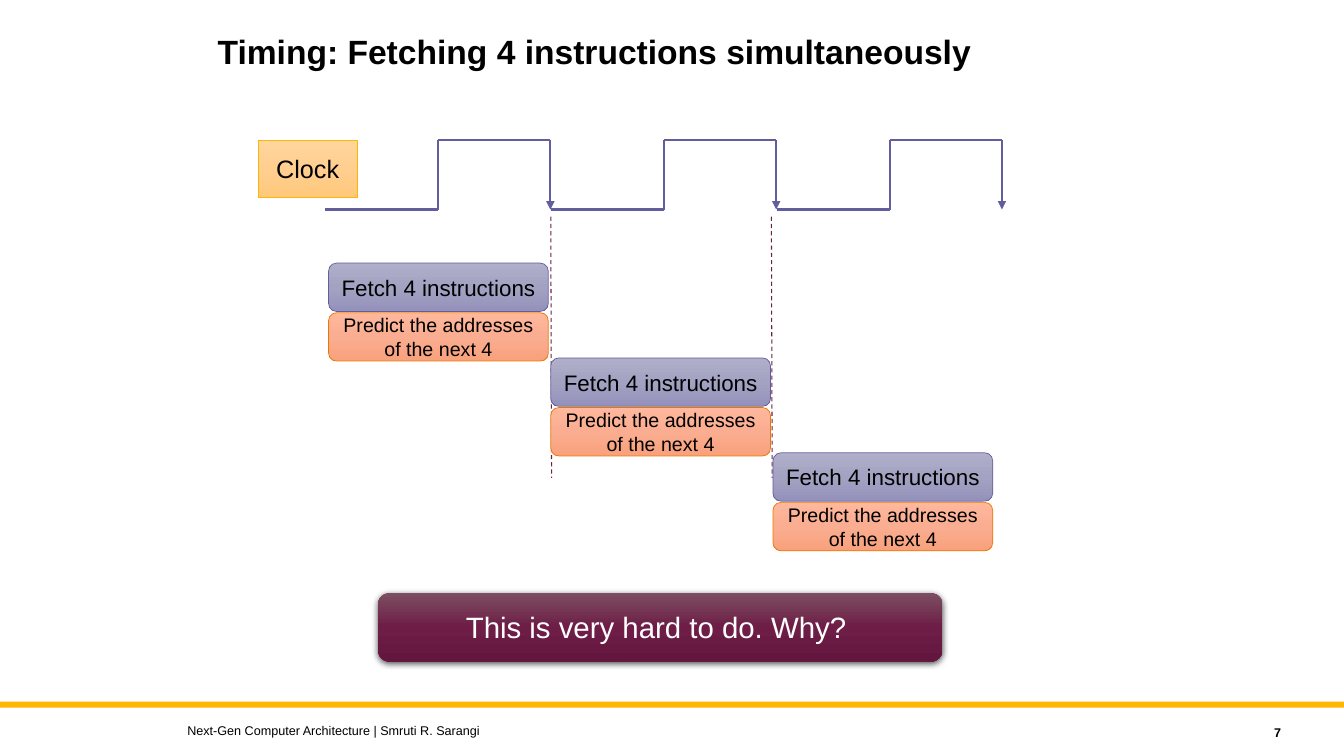
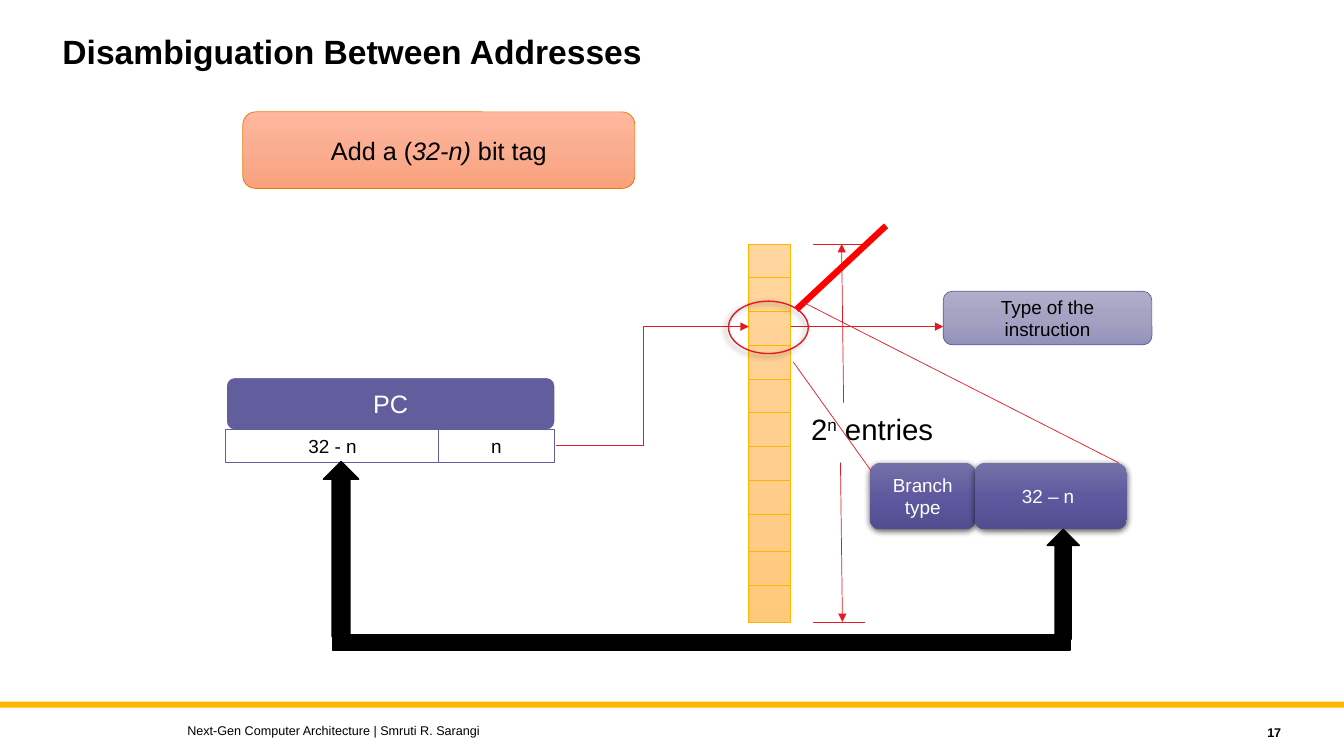
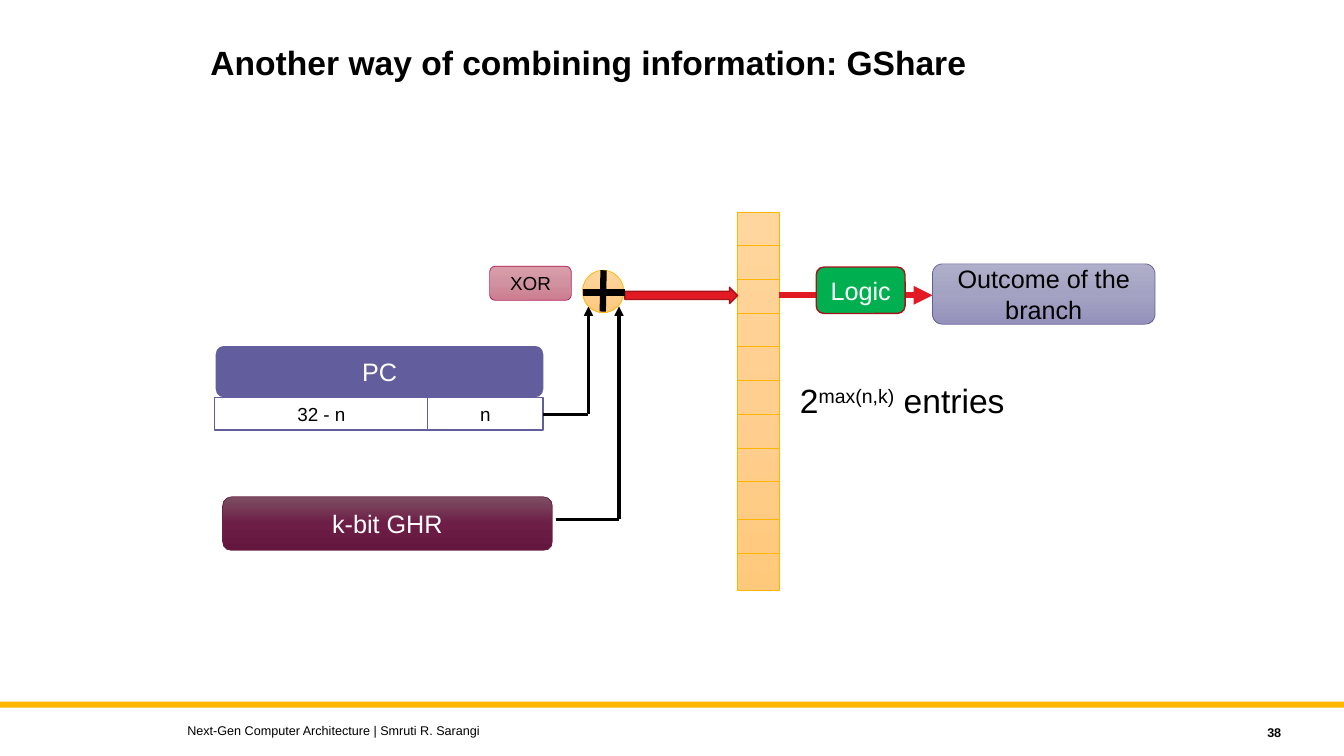
import copy

import lxml.etree
import pptx
import pptx.dml.color
import pptx.enum.dml
import pptx.enum.shapes
import pptx.enum.text
import pptx.oxml.ns
import pptx.util

Cm = pptx.util.Cm
Pt = pptx.util.Pt
qn = pptx.oxml.ns.qn
SHAPE = pptx.enum.shapes.MSO_SHAPE
ALIGN = pptx.enum.text.PP_ALIGN
ANCHOR = pptx.enum.text.MSO_ANCHOR
rgb = pptx.dml.color.RGBColor.from_string

# Colours
BLACK = rgb("000000")
WHITE = rgb("FFFFFF")
GOLD = rgb("FFB600")
VIOLET = rgb("625D9C")
ORANGE = rgb("EC7700")
PLUM = rgb("692146")
ROSE = rgb("AF1858")
RED = rgb("E21A23")
DARK_RED = rgb("A7131A")
BRIGHT_RED = rgb("FF0000")
GREEN = rgb("00B050")

# Vertical gradients: top, middle, bottom
GOLD_FADE = (rgb("FFD69E"), rgb("FFCF90"), rgb("FFC97C"))
LILAC_FADE = (rgb("B0AFCA"), rgb("A4A2C2"), rgb("9492BB"))
PEACH_FADE = (rgb("FFB89D"), rgb("FAAD90"), rgb("F9A17C"))
PLUM_FADE = (rgb("7C4F62"), rgb("6D1D46"), rgb("64173E"))
VIOLET_FADE = (rgb("7571A8"), rgb("5F5A9F"), rgb("524D90"))
ROSE_FADE = (rgb("DA9EAB"), rgb("D091A0"), rgb("CD7C8F"))

# Shadows: opacity in percent, blur and distance in points, direction in degrees
RAISED = (63, 4.5, 1.5, 90)
SOFT = (40, 4, 3, 135)


def add_box(page, kind, at, text="", fill=None, edge=None, edge_width=0.5, shadow=None,
            size=13.5, color=BLACK, bold=False, align=ALIGN.CENTER,
            anchor=ANCHOR.MIDDLE, spacing=None):
    """Kind is a preset shape, "text" for a text box or "title" for the placeholder.
    Text is a string or a list of (string, style), style being "", "italic" or "super"."""
    at = [Cm(length) for length in at]
    if kind == "title":
        box = page.shapes.title
        box.left, box.top, box.width, box.height = at
    elif kind == "text":
        box = page.shapes.add_textbox(*at)
    else:
        box = page.shapes.add_shape(kind, *at)
        box.shadow.inherit = False
        if fill is None:
            box.fill.background()
        elif fill in (GOLD_FADE, LILAC_FADE, PEACH_FADE, PLUM_FADE, VIOLET_FADE, ROSE_FADE):
            box.fill.gradient()
            box.fill.gradient_angle = 270
            stop_list = box.element.spPr.find(".//" + qn("a:gsLst"))
            stop_list.insert(1, copy.deepcopy(stop_list[0]))
            for stop, shade, position in zip(box.fill.gradient_stops, fill, (0, 0.5, 1)):
                stop.color.rgb = shade
                stop.position = position
        else:
            box.fill.solid()
            box.fill.fore_color.rgb = fill
        if edge is None:
            box.line.fill.background()
        else:
            box.line.color.rgb = edge
            box.line.width = Pt(edge_width)
        if shadow:
            opacity, blur, distance, angle = shadow
            effects = box.element.spPr.find(qn("a:effectLst"))
            outer = lxml.etree.SubElement(
                effects, qn("a:outerShdw"), blurRad=str(Pt(blur)), dist=str(Pt(distance)),
                dir=str(angle * 60000), rotWithShape="0")
            shade = lxml.etree.SubElement(outer, qn("a:srgbClr"), val=str(BLACK))
            lxml.etree.SubElement(shade, qn("a:alpha"), val=str(opacity * 1000))

    if text:
        frame = box.text_frame
        frame.word_wrap = True
        frame.auto_size = pptx.enum.text.MSO_AUTO_SIZE.NONE
        frame.vertical_anchor = anchor
        para = frame.paragraphs[0]
        para.alignment = align
        para.line_spacing = spacing
        for words, style in [(text, "")] if isinstance(text, str) else text:
            span = para.add_run()
            span.text = words
            span.font.name = "Arial"
            span.font.size = Pt(size)
            span.font.bold = bold
            span.font.color.rgb = color
            if style == "italic":
                span.font.italic = True
            elif style == "super":
                span._r.get_or_add_rPr().set("baseline", "30000")
    return box


def add_line(page, start, end, color=RED, width=0.5, arrow=False, dashed=False):
    line = page.shapes.add_connector(
        pptx.enum.shapes.MSO_CONNECTOR.STRAIGHT, *[Cm(length) for length in (*start, *end)])
    line.line.color.rgb = color
    line.line.width = Pt(width)
    if dashed:
        line.line.dash_style = pptx.enum.dml.MSO_LINE.DASH
    properties = line.element.spPr
    if arrow:
        lxml.etree.SubElement(properties.find(qn("a:ln")), qn("a:tailEnd"), type="triangle")
    lxml.etree.SubElement(properties, qn("a:effectLst"))


# Deck and layout
deck = pptx.Presentation()
deck.slide_width, deck.slide_height = Cm(33.87), Cm(19.05)
layout = deck.slide_layouts.get_by_name("Title Only")
for holder in list(layout.placeholders):
    if holder.placeholder_format.idx != 0:
        holder.element.getparent().remove(holder.element)

# Pages with title, footer and page number
pages = []
for title, title_at, number in [
    ("Timing: Fetching 4 instructions simultaneously", (5.23, 0.76, 20.47, 2.29), "7"),
    ("Disambiguation Between Addresses", (1.32, 0.76, 25.4, 2.29), "17"),
    ("Another way of combining information: GShare", (5.05, 1.04, 21.89, 2.77), "38"),
]:
    page = deck.slides.add_slide(layout)
    pages.append(page)
    add_box(page, "title", title_at, title, size=24, bold=True, align=ALIGN.LEFT,
            anchor=ANCHOR.TOP, spacing=0.9)
    add_box(page, "text", (4.47, 18.08, 20.32, 0.64),
            "Next-Gen Computer Architecture | Smruti R. Sarangi", size=9, align=ALIGN.LEFT)
    add_box(page, "text", (28.98, 18.14, 3.56, 0.64), number, size=9, bold=True,
            align=ALIGN.RIGHT)
timing, tagging, gshare = pages

# Gold band, moved to the layout so that every page shows it
band = add_box(timing, SHAPE.RECTANGLE, (0, 17.68, 33.87, 0.15), fill=GOLD)
layout.shapes.element.append(band.element)

# Timing: clock signal
high, low = 3.53, 5.28
for cycle in range(3):
    start = 8.2 + 5.69 * cycle
    rise, fall = start + 2.84, start + 5.67
    add_line(timing, (start, low), (rise, low), VIOLET, 1.5)
    add_line(timing, (rise, low), (rise, high), VIOLET, 1.5)
    add_line(timing, (rise, high), (fall, high), VIOLET, 1.5)
    add_line(timing, (fall, high), (fall, low), VIOLET, 1.5, arrow=True)
add_box(timing, SHAPE.RECTANGLE, (6.5, 3.53, 2.51, 1.45), "Clock", GOLD_FADE, GOLD, size=18)

# Timing: cycle borders and the staircase of fetches
for x in (13.88, 19.44):
    add_line(timing, (x, 5.46), (x + 0.02, 12.04), PLUM, 0.75, dashed=True)
for step in range(3):
    left, top = 8.28 + 5.6 * step, 6.63 + 2.39 * step
    add_box(timing, SHAPE.ROUNDED_RECTANGLE, (left, top, 5.54, 1.22),
            "Fetch 4 instructions", LILAC_FADE, VIOLET, size=16)
    add_box(timing, SHAPE.ROUNDED_RECTANGLE, (left, top + 1.25, 5.54, 1.22),
            "Predict the addresses of the next 4", PEACH_FADE, ORANGE, size=14)
add_box(timing, SHAPE.ROUNDED_RECTANGLE, (9.53, 14.94, 14.22, 1.73),
        "This is very hard to do. Why? ", PLUM_FADE, shadow=RAISED, size=21, color=WHITE)

# Program counter and prediction table on both predictor pages
for page, left, top in [(tagging, 5.69, 9.5), (gshare, 5.41, 8.69)]:
    add_box(page, SHAPE.ROUNDED_RECTANGLE, (left, top, 8.31, 1.35), "PC", VIOLET, WHITE, 1.5,
            size=18, color=WHITE)
    for offset, width, field in [(0, 5.38, "32 - n"), (5.36, 2.92, "n")]:
        add_box(page, SHAPE.RECTANGLE, (left + offset, top + 1.33, width, 0.82), field,
                WHITE, VIOLET, 1)
    table_left, table_top = left + 13.18, top - 3.35
    add_box(page, SHAPE.RECTANGLE, (table_left, table_top, 1.04, 9.53), fill=GOLD_FADE,
            edge=GOLD)
    for row in range(1, 11):
        y = table_top + 0.85 * row + (0.1 if row > 8 else 0)
        add_line(page, (table_left, y), (table_left + 1.07, y), GOLD)

# Tagging: lookup path
add_line(tagging, (14, 11.23), (16.21, 11.23))
add_line(tagging, (16.21, 11.23), (16.21, 8.23))
add_line(tagging, (16.21, 8.23), (18.87, 8.23), arrow=True)
add_line(tagging, (19.94, 8.23), (23.77, 8.23), arrow=True)
add_box(tagging, SHAPE.ROUNDED_RECTANGLE, (23.77, 7.34, 5.26, 1.35),
        "Type of the instruction", LILAC_FADE, VIOLET)

# Tagging: table height
for y in (6.15, 15.67):
    add_line(tagging, (20.5, y), (21.79, y))
add_line(tagging, (21.26, 10.16), (21.21, 6.15), arrow=True)
add_line(tagging, (21.18, 11.66), (21.23, 15.67), arrow=True)
add_box(tagging, "text", (20.19, 10.24, 3.66, 1.14),
        [("2", ""), ("n", "super"), (" entries", "")], size=21, align=ALIGN.LEFT,
        anchor=ANCHOR.TOP)

# Tagging: contents of one entry
add_line(tagging, (20.07, 7.8), (22.33, 5.69), BRIGHT_RED, 4.5)
for left, width, field in [(21.92, 2.67, "Branch type"), (24.56, 3.84, "32 – n ")]:
    add_box(tagging, SHAPE.ROUNDED_RECTANGLE, (left, 11.66, width, 1.68), field,
            VIOLET_FADE, shadow=RAISED, color=WHITE)
add_line(tagging, (20.19, 7.59), (28.19, 11.66))
add_line(tagging, (19.99, 9.12), (21.95, 11.86))
add_box(tagging, SHAPE.OVAL, (18.36, 7.59, 2.01, 1.32), edge=RED, edge_width=1, shadow=SOFT)

# Tagging: comparison of the tags
for kind, at in [
    (SHAPE.UP_ARROW, (8.15, 11.63, 0.89, 4.42)),
    (SHAPE.UP_ARROW, (26.39, 13.34, 0.81, 2.77)),
    (SHAPE.RECTANGLE, (8.38, 16, 18.59, 0.38)),
]:
    add_box(tagging, kind, at, fill=BLACK, edge=BLACK, edge_width=1)
add_box(tagging, SHAPE.ROUNDED_RECTANGLE, (6.12, 2.82, 9.88, 1.93),
        [("Add a (", ""), ("32-n)", "italic"), (" bit tag", "")], PEACH_FADE, ORANGE, size=18)

# GShare: outcome path
add_line(gshare, (19.63, 7.44), (23.5, 7.44), width=4.5, arrow=True)
add_box(gshare, SHAPE.ROUNDED_RECTANGLE, (23.5, 6.65, 5.61, 1.52), "Outcome of the branch",
        LILAC_FADE, VIOLET, size=18)
add_box(gshare, SHAPE.ROUNDED_RECTANGLE, (20.57, 6.73, 2.24, 1.17), "Logic", GREEN, DARK_RED,
        1, size=18, color=WHITE)
add_box(gshare, "text", (19.91, 9.45, 6.02, 1.27),
        [("2", ""), ("max(n,k)", "super"), (" entries", "")], size=24, align=ALIGN.LEFT,
        anchor=ANCHOR.TOP)

# GShare: history register and wires into the XOR
add_box(gshare, SHAPE.ROUNDED_RECTANGLE, (5.61, 12.52, 8.31, 1.35), "k-bit GHR", PLUM_FADE,
        PLUM, size=18, color=WHITE)
for source_x, wire_x, y in [(13.69, 14.83, 10.44), (14, 15.6, 13.08)]:
    add_line(gshare, (source_x, y), (wire_x, y), BLACK, 2.25)
    add_line(gshare, (wire_x, y), (wire_x, 7.72), BLACK, 2.25, arrow=True)

# GShare: XOR gate
add_box(gshare, SHAPE.RIGHT_ARROW, (15.75, 7.24, 2.84, 0.41), fill=RED, edge=DARK_RED,
        edge_width=1)
add_box(gshare, SHAPE.OVAL, (14.68, 6.81, 1.04, 1.07), fill=GOLD_FADE, edge=GOLD)
add_line(gshare, (14.68, 7.37), (15.75, 7.37), BLACK, 4.5)
add_line(gshare, (15.21, 6.81), (15.19, 7.85), BLACK, 4.5)
add_box(gshare, SHAPE.ROUNDED_RECTANGLE, (12.34, 6.71, 2.06, 0.86), "XOR", ROSE_FADE, ROSE)

deck.save("out.pptx")
